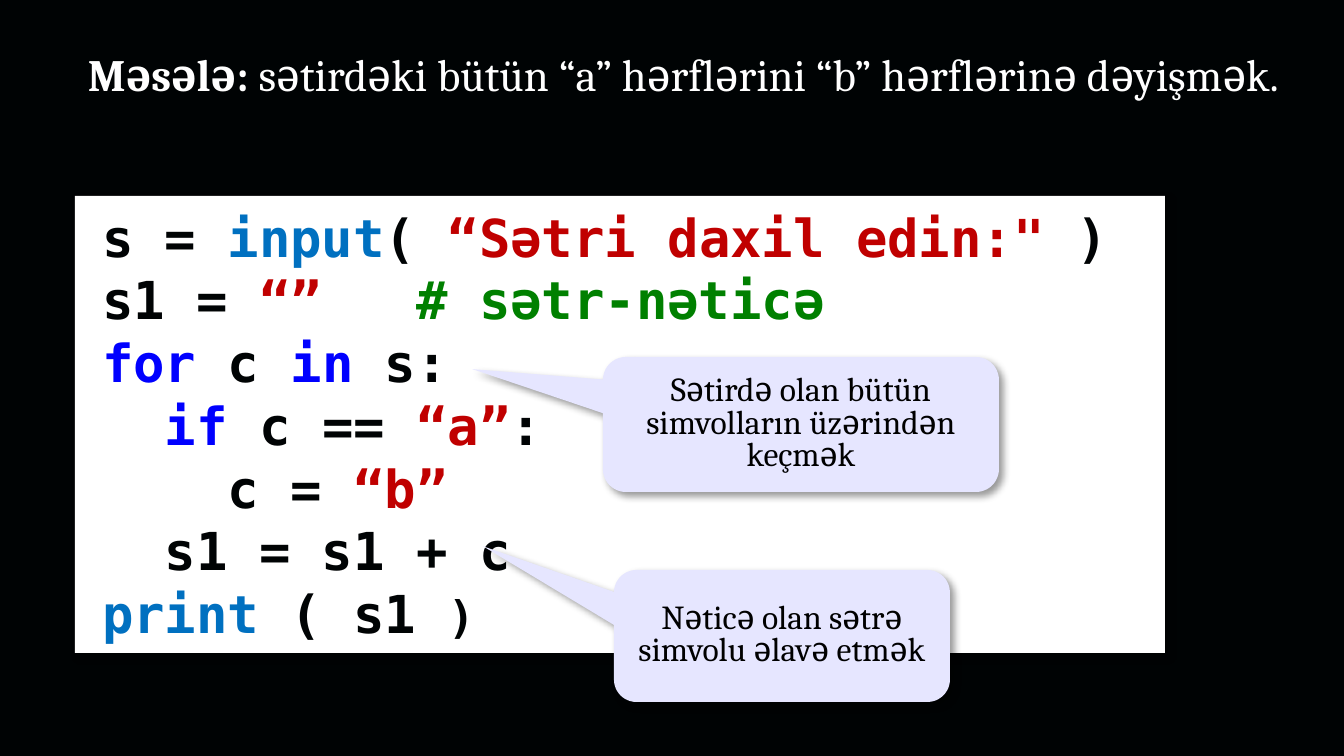
"""Builds a slide that explains replacing letters in a string, with commented code."""
from dataclasses import dataclass

import pptx
import pptx.dml.color
import pptx.enum.shapes
import pptx.enum.text
import pptx.oxml
import pptx.util
from lxml import etree

SHAPE = pptx.enum.shapes.MSO_SHAPE
ALIGN = pptx.enum.text.PP_ALIGN
ANCHOR = pptx.enum.text.MSO_ANCHOR
A = "http://schemas.openxmlformats.org/drawingml/2006/main"


@dataclass(frozen=True)
class Theme:
    ink: str = "000304"
    white: str = "FFFFFF"
    note: str = "E6E6FF"
    black: str = "000000"
    builtin: str = "0070C0"
    string: str = "C00000"
    comment: str = "008000"
    keyword: str = "0000FF"
    serif: str = "Cambria"
    mono: str = "DejaVu Sans Mono"
    title_size: int = 24
    code_size: int = 28
    note_size: int = 18


T = Theme()
SIZE = (1344, 756)
TITLE_BOX = (75, 34, 1226, 134)
CODE_BOX = (75, 196, 1090, 457)
TITLE = [("Məsələ: ", True), ("sətirdəki bütün “a” hərflərini “b” hərflərinə dəyişmək.", False)]
CODE = [
    [("s = ", T.ink), ("input", T.builtin), ("( ", T.ink),
     ("“Sətri daxil edin:\"", T.string), (" )", T.ink)],
    [("s1 = ", T.ink), ("“”   ", T.string), ("# sətr-nəticə", T.comment)],
    [("for", T.keyword), (" c ", T.ink), ("in", T.keyword), (" s:", T.ink)],
    [("  ", T.ink), ("if", T.keyword), (" c == ", T.ink), ("“а”", T.string), (": ", T.ink)],
    [("    c = ", T.ink), ("“b”", T.string)],
    [("  s1 = s1 + c", T.ink)],
    [("print", T.builtin), (" ( s1 ", T.ink), (")", T.ink)],
]
NOTES = [
    ("Sətirdə olan bütün simvolların üzərindən keçmək", (603, 357, 396, 135), (-0.83, -0.41, 0.17)),
    ("Nəticə olan sətrə simvolu əlavə etmək", (614, 570, 336, 132), (-0.89, -0.68, 0.17)),
]


def px(n):
    return pptx.util.Emu(round(n * 914400 / 134.4))


def rgb(value):
    return pptx.dml.color.RGBColor.from_string(value)


def set_font(font, name, size, color=None, bold=None):
    font.name, font.size, font.bold = name, pptx.util.Pt(size), bold
    if color:
        font.color.rgb = rgb(color)


def set_insets(tf, x, y):
    tf.margin_left = tf.margin_right = px(x)
    tf.margin_top = tf.margin_bottom = px(y)


def add_shadow(sp):
    sp.shadow.inherit = False
    effects = sp.element.spPr.find(f"{{{A}}}effectLst")
    shadow = etree.SubElement(effects, f"{{{A}}}outerShdw", blurRad="50800", dist="38100",
                              dir="2700000", algn="tl", rotWithShape="0")
    color = etree.SubElement(shadow, f"{{{A}}}srgbClr", val=T.black)
    etree.SubElement(color, f"{{{A}}}alpha", val="40000")


def add_box(slide, kind, box, fill):
    sp = slide.shapes.add_shape(kind, *map(px, box))
    sp.fill.solid()
    sp.fill.fore_color.rgb = rgb(fill)
    sp.line.fill.background()
    add_shadow(sp)
    tf = sp.text_frame
    tf.word_wrap = True
    tf.vertical_anchor = ANCHOR.MIDDLE
    return sp


def add_title(slide):
    tf = slide.shapes.add_textbox(*map(px, TITLE_BOX)).text_frame
    tf.word_wrap = True
    set_insets(tf, 13, 13)
    p = tf.paragraphs[0]
    set_font(p.font, T.serif, T.title_size, T.white)
    for text, bold in TITLE:
        r = p.add_run()
        r.text, r.font.bold = text, bold


def add_code(slide):
    tf = add_box(slide, SHAPE.RECTANGLE, CODE_BOX, T.white).text_frame
    tf.auto_size = pptx.enum.text.MSO_AUTO_SIZE.SHAPE_TO_FIT_TEXT
    for i, line in enumerate(CODE):
        p = tf.add_paragraph() if i else tf.paragraphs[0]
        p.alignment = ALIGN.JUSTIFY
        set_font(p.font, T.mono, T.code_size, bold=True)
        pPr = p.font._element.getparent()
        pPr.set("marL", str(px(27)))
        pPr.set("indent", str(px(-13)))
        for text, color in line:
            r = p.add_run()
            r.text, r.font.color.rgb = text, rgb(color)
    r.font.size = pptx.util.Pt(T.title_size)


def add_note(slide, text, box, adjustments):
    sp = add_box(slide, SHAPE.ROUNDED_RECTANGULAR_CALLOUT, box, T.note)
    for i, value in enumerate(adjustments):
        sp.adjustments[i] = value
    set_insets(sp.text_frame, 9, 5)
    p = sp.text_frame.paragraphs[0]
    p.text, p.alignment, p.line_spacing = text, ALIGN.CENTER, 0.8
    set_font(p.font, T.serif, T.note_size, T.black)


def main():
    prs = pptx.Presentation()
    prs.slide_width, prs.slide_height = map(px, SIZE)
    slide = prs.slides.add_slide(prs.slide_layouts[6])
    slide.background.fill.solid()
    slide.background.fill.fore_color.rgb = rgb(T.ink)
    add_title(slide)
    add_code(slide)
    for note in NOTES:
        add_note(slide, *note)
    prs.save("out.pptx")


if __name__ == "__main__":
    main()
